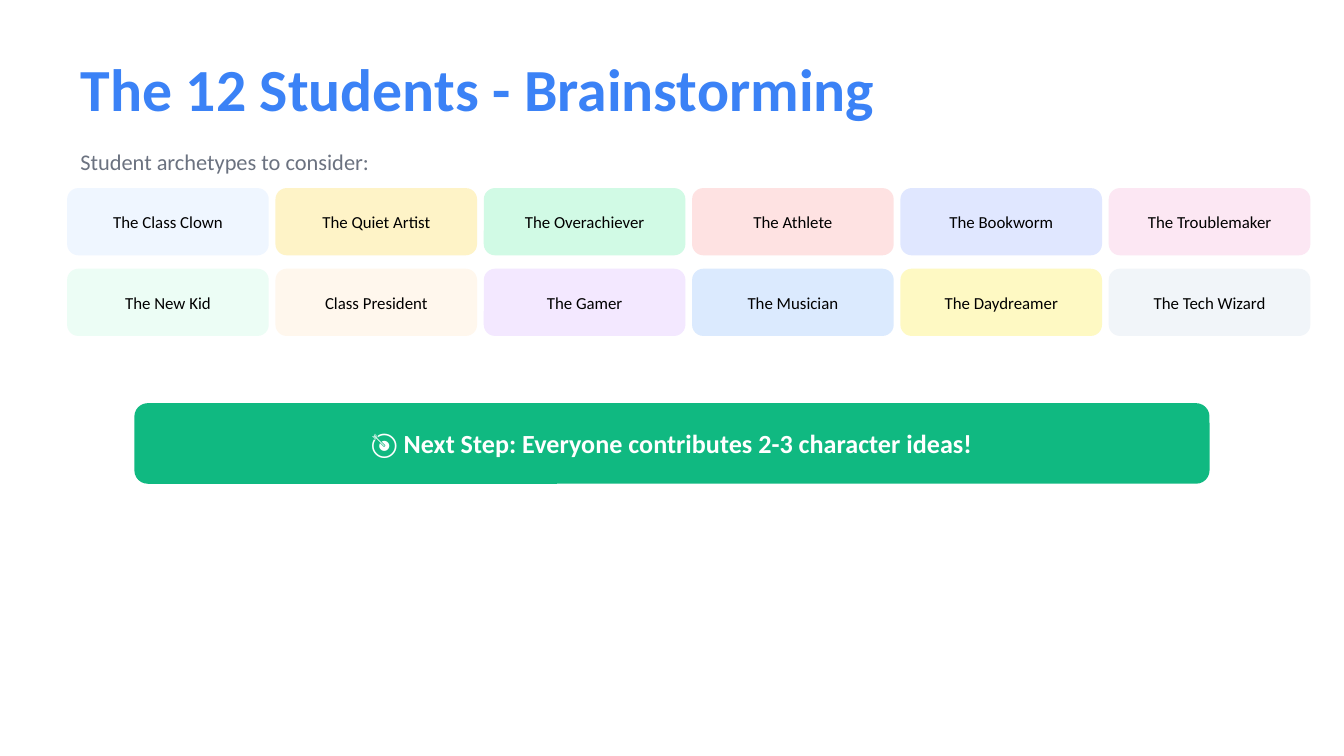
from dataclasses import dataclass

from pptx import Presentation
from pptx.dml.color import RGBColor as Rgb
from pptx.enum.shapes import MSO_SHAPE as Kind
from pptx.enum.text import MSO_ANCHOR as Anchor, MSO_AUTO_SIZE as Fit, PP_ALIGN as Align
from pptx.util import Inches, Pt


@dataclass(frozen=True)
class Theme:
    font: str = "Calibri"
    paper: str = "FFFFFF"
    title: str = "3B82F6"
    muted: str = "6B7280"
    ink: str = "000000"
    green: str = "10B981"
    big: int = 32
    mid: int = 14
    lead: int = 12
    small: int = 9


THEME = Theme()
WIDE = Inches(10)
HIGH = WIDE * 9 // 16
COL, ROW = Inches(0.5), Inches(0.1)
PER_ROW = 6
CARDS = [
    ("The Class Clown", "EFF6FF"),
    ("The Quiet Artist", "FEF3C7"),
    ("The Overachiever", "D1FAE5"),
    ("The Athlete", "FEE2E2"),
    ("The Bookworm", "E0E7FF"),
    ("The Troublemaker", "FCE7F3"),
    ("The New Kid", "ECFDF5"),
    ("Class President", "FFF7ED"),
    ("The Gamer", "F3E8FF"),
    ("The Musician", "DBEAFE"),
    ("The Daydreamer", "FEF9C3"),
    ("The Tech Wizard", "F1F5F9"),
]


def grid(col, row, cols, rows):
    """Turn grid columns and rows into left, top, width and height."""
    return [round(n) for n in (col * COL, row * ROW, cols * COL, rows * ROW)]


def put(item, values):
    for name, value in values.items():
        setattr(item, name, value)


def write(shape, text, size, color, bold=False, align=Align.LEFT):
    frame = shape.text_frame
    put(frame, {"word_wrap": True, "auto_size": Fit.NONE,
                "vertical_anchor": Anchor.MIDDLE})
    para = frame.paragraphs[0]
    para.alignment = align
    run = para.add_run()
    run.text = text
    put(run.font, {"name": THEME.font, "size": Pt(size), "bold": bold})
    run.font.color.rgb = Rgb.from_string(color)


def add_title(slide, area, text):
    title = slide.shapes.title
    put(title, dict(zip(("left", "top", "width", "height"), area)))
    write(title, text, THEME.big, THEME.title, bold=True)


def add_lead(slide, area, text):
    write(slide.shapes.add_textbox(*area), text, THEME.lead, THEME.muted)


def add_card(slide, area, fill, text, size, color, bold=False):
    card = slide.shapes.add_shape(Kind.ROUNDED_RECTANGLE, *area)
    card.shadow.inherit = False
    card.fill.solid()
    card.fill.fore_color.rgb = Rgb.from_string(fill)
    card.line.fill.background()
    write(card, text, size, color, bold, Align.CENTER)


def main():
    deck = Presentation()
    put(deck, {"slide_width": WIDE, "slide_height": HIGH})
    slide = deck.slides.add_slide(deck.slide_layouts.get_by_name("Title Only"))
    slide.background.fill.solid()
    slide.background.fill.fore_color.rgb = Rgb.from_string(THEME.paper)

    add_title(slide, grid(1, 3, 18, 7), "The 12 Students - Brainstorming")
    add_lead(slide, grid(1, 10, 18, 4), "Student archetypes to consider:")
    for i, (name, fill) in enumerate(CARDS):
        row, col = divmod(i, PER_ROW)
        area = grid(1 + 3.1 * col, 14 + 6 * row, 3, 5)
        add_card(slide, area, fill, name, THEME.small, THEME.ink)
    add_card(slide, grid(2, 30, 16, 6), THEME.green,
             "🎯 Next Step: Everyone contributes 2-3 character ideas!",
             THEME.mid, THEME.paper, bold=True)
    deck.save("out.pptx")


if __name__ == "__main__":
    main()
